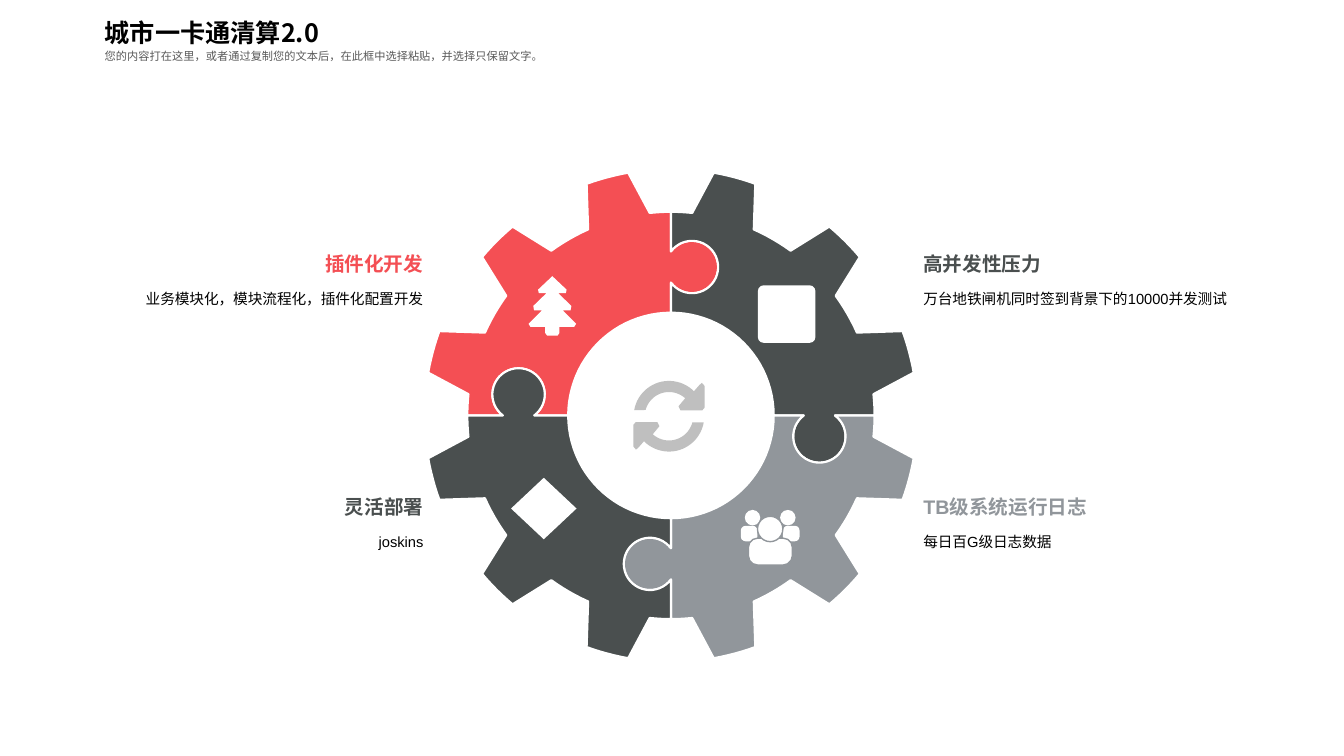
from math import asin, cos, pi, radians, sin

from lxml import etree
from pptx import Presentation
from pptx.dml.color import RGBColor
from pptx.enum.shapes import MSO_SHAPE
from pptx.enum.text import MSO_ANCHOR, PP_ALIGN
from pptx.oxml.ns import qn
from pptx.util import Cm, Pt

OVAL, ROUNDED = MSO_SHAPE.OVAL, MSO_SHAPE.ROUNDED_RECTANGLE
DIAMOND = MSO_SHAPE.DIAMOND
TOP, MIDDLE = MSO_ANCHOR.TOP, MSO_ANCHOR.MIDDLE
LEFT, RIGHT = PP_ALIGN.LEFT, PP_ALIGN.RIGHT

RED, DARK, GREY = "F44F54", "4A4F4F", "91969B"
WHITE, BLACK, SILVER, NOTE = "FFFFFF", "000000", "BFBFBF", "595959"
LATIN, CJK = "Arial", "Noto Sans CJK SC"

GEAR_X, GEAR_Y = 16.91, 10.47
HUB, RIM, TIP = 2.59, 5.13, 6.21
KNOB, KNOB_SHIFT = 0.66, 0.53


def color(value):
    return RGBColor.from_string(value)


def arc(radius, start, end, steps=24):
    angles = [radians(start + (end - start) * i / steps) for i in range(steps + 1)]
    return [(radius * cos(a), radius * sin(a)) for a in angles]


def seam(angle, knob_at):
    a, dip = radians(angle), asin(KNOB_SHIFT / KNOB)
    turns = [-dip + (pi + 2 * dip) * i / 36 for i in range(37)]
    points = [(RIM, 0)]
    points += [(knob_at + KNOB * cos(t), KNOB_SHIFT + KNOB * sin(t)) for t in turns]
    points.append((HUB, 0))
    return [(u * cos(a) - v * sin(a), u * sin(a) + v * cos(a)) for u, v in points]


def gear_piece(angle, first_knob, last_knob):
    points = seam(angle, first_knob)[::-1]
    valley = angle
    for tooth in (angle + 15, angle + 45, angle + 75):
        points += arc(RIM, valley, tooth - 9, 6)
        points += arc(TIP, tooth - 5, tooth + 5, 6)
        valley = tooth + 9
    points += arc(RIM, valley, angle + 90, 6)
    points += seam(angle + 90, last_knob)
    return points + arc(HUB, angle + 90, angle)


class Deck:
    def __init__(self, slide):
        self.s = slide

    def paint(self, sp, fill, line=None, weight=1.5):
        sp.shadow.inherit = False
        sp.fill.solid()
        sp.fill.fore_color.rgb = color(fill)
        if line:
            sp.line.color.rgb = color(line)
            sp.line.width = Pt(weight)
        else:
            sp.line.fill.background()

    def outline(self, x, y, points, fill, line=None):
        spots = [(Cm(x + dx), Cm(y + dy)) for dx, dy in points]
        builder = self.s.shapes.build_freeform(*spots[0])
        builder.add_line_segments(spots[1:], close=True)
        self.paint(builder.convert_to_shape(), fill, line)

    def shape(self, kind, x, y, w, h, fill, line=None, corner=None):
        sp = self.s.shapes.add_shape(kind, Cm(x), Cm(y), Cm(w), Cm(h))
        self.paint(sp, fill, line, 1)
        if corner is not None:
            sp.adjustments[0] = corner

    def text(self, x, y, w, h, words, size, fill, bold=False, font=LATIN,
             align=LEFT, anchor=TOP, inset=(0.25, 0.13), spacing=1.0):
        tf = self.s.shapes.add_textbox(Cm(x), Cm(y), Cm(w), Cm(h)).text_frame
        tf.word_wrap = True
        tf.vertical_anchor = anchor
        tf.margin_left = tf.margin_right = Cm(inset[0])
        tf.margin_top = tf.margin_bottom = Cm(inset[1])
        tf.text = words
        p = tf.paragraphs[0]
        p.alignment = align
        p.line_spacing = spacing
        r = p.runs[0]
        r.font.size = Pt(size)
        r.font.bold = bold
        r.font.color.rgb = color(fill)
        r.font.name = font
        etree.SubElement(r._r.get_or_add_rPr(), qn("a:ea"), typeface=CJK)

    def label(self, heading, detail, fill, y, align):
        x = 2.27 if align == RIGHT else 22.86
        self.text(x, y, 8.81, 0.89, heading, 14, fill, bold=True,
                  align=align, anchor=MIDDLE, inset=(0.41, 0))
        self.text(x, y + 0.89, 8.81, 1.52, detail, 10.5, BLACK,
                  align=align, inset=(0.41, 0.13), spacing=1.2)

    def tree(self, x, y):
        side = [(0, 0), (0.36, 0.34), (0.34, 0.43), (0.15, 0.43), (0.48, 0.75),
                (0.46, 0.86), (0.26, 0.86), (0.6, 1.2), (0.55, 1.28),
                (0.18, 1.28), (0.18, 1.43), (0.13, 1.5)]
        mirrored = [(-dx, dy) for dx, dy in side[:0:-1]]
        self.outline(x, y, side + mirrored, WHITE)

    def people(self, x, y):
        for dx in (0, 1.06):
            self.shape(ROUNDED, x + dx, y + 0.4, 0.42, 0.39, WHITE, corner=0.3)
        for dx in (0.1, 0.99):
            self.shape(OVAL, x + dx, y, 0.39, 0.39, WHITE)
        self.shape(ROUNDED, x + 0.19, y + 0.71, 1.11, 0.68, WHITE, GREY, 0.35)
        self.shape(OVAL, x + 0.42, y + 0.16, 0.64, 0.64, WHITE, GREY)

    def cycle(self, x, y):
        arrow = arc(0.89, 190, 315)
        arrow += [(0.77, -0.79), (0.83, -0.84), (0.9, -0.76), (0.9, -0.22),
                  (0.84, -0.15), (0.29, -0.15), (0.24, -0.25)]
        arrow += arc(0.61, 312, 195)
        for turn in (1, -1):
            self.outline(x, y, [(turn * dx, turn * dy) for dx, dy in arrow], SILVER)


def main():
    prs = Presentation()
    prs.slide_width, prs.slide_height = Cm(33.87), Cm(19.05)
    deck = Deck(prs.slides.add_slide(prs.slide_layouts[6]))

    knobs = [3.84, 3.74, 3.74, 3.74, 3.84]
    for i, fill in enumerate((RED, DARK, GREY, DARK)):
        piece = gear_piece(180 + 90 * i, knobs[i], knobs[i + 1])
        deck.outline(GEAR_X, GEAR_Y, piece, fill, WHITE)

    deck.tree(13.92, 6.96)
    deck.shape(DIAMOND, 12.88, 12.04, 1.65, 1.55, WHITE)
    deck.shape(ROUNDED, 19.1, 7.19, 1.45, 1.45, WHITE, corner=0.1)
    deck.people(18.67, 12.85)
    deck.cycle(16.86, 10.49)

    upper, lower = 6.2, 12.32
    deck.label("插件化开发", "业务模块化，模块流程化，插件化配置开发", RED, upper, RIGHT)
    deck.label("灵活部署", "joskins", DARK, lower, RIGHT)
    deck.label("高并发性压力", "万台地铁闸机同时签到背景下的10000并发测试", DARK, upper, LEFT)
    deck.label("TB级系统运行日志", "每日百G级日志数据", GREY, lower, LEFT)

    deck.text(2.39, 0.08, 9.04, 1.24, "城市一卡通清算2.0", 18, BLACK, bold=True,
              font=CJK, spacing=1.3)
    deck.text(2.39, 0.94, 15.9, 0.76,
              "您的内容打在这里，或者通过复制您的文本后，在此框中选择粘贴，并选择只保留文字。",
              8, NOTE, font=CJK, spacing=1.5)
    prs.save("out.pptx")


if __name__ == "__main__":
    main()
